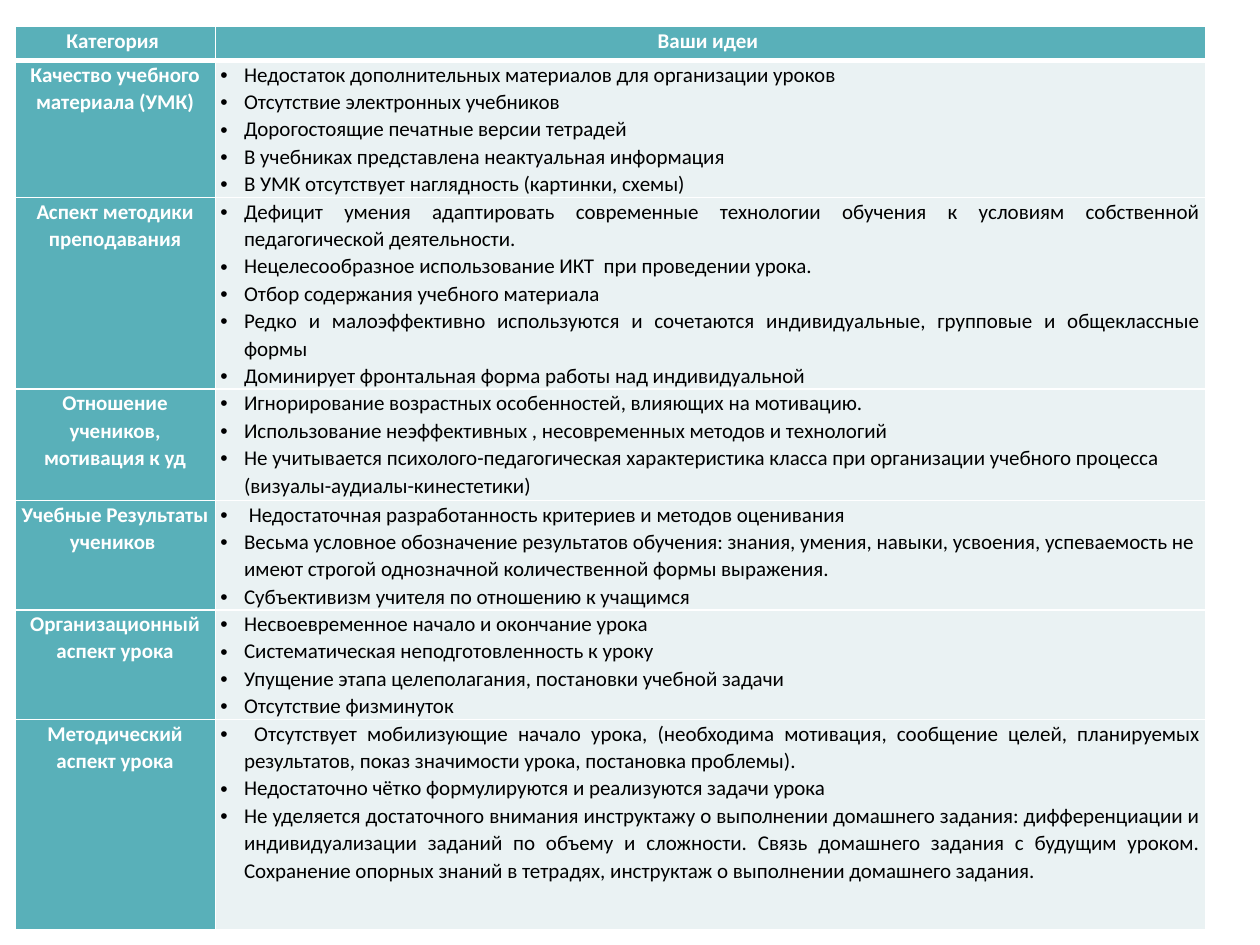
from dataclasses import dataclass

from lxml.etree import SubElement
from pptx import Presentation
from pptx.dml.color import RGBColor
from pptx.enum.text import PP_ALIGN as Align
from pptx.oxml.ns import qn
from pptx.util import Cm, Pt

COLORS = {"accent": "59B0B9", "light": "EAF2F3", "white": "FFFFFF", "black": "000000"}
FONT = "Calibri"
INDENT = Cm(0.48)
COLUMN_WIDTHS = (4.04, 19.96)


@dataclass(frozen=True)
class Category:
    title: str
    height: float
    ideas: tuple[str, ...]
    align: Align = Align.LEFT


HEADINGS = ("Категория ", "Ваши идеи ")
HEADING_HEIGHT = 0.69
CATEGORIES = (
    Category("Качество учебного материала (УМК)", 2.67, (
        "Недостаток дополнительных материалов для организации уроков",
        "Отсутствие электронных учебников",
        "Дорогостоящие печатные версии тетрадей",
        "В учебниках представлена неактуальная информация",
        "В УМК отсутствует наглядность (картинки, схемы)",
    )),
    Category("Аспект методики преподавания", 3.18, (
        "Дефицит умения адаптировать современные технологии обучения к условиям "
        "собственной педагогической деятельности.",
        "Нецелесообразное использование ИКТ  при проведении урока.",
        "Отбор содержания учебного материала",
        "Редко и малоэффективно используются и сочетаются индивидуальные, "
        "групповые и общеклассные формы",
        "Доминирует фронтальная форма работы над индивидуальной",
    ), Align.JUSTIFY),
    Category("Отношение учеников, мотивация к уд", 2.24, (
        "Игнорирование возрастных особенностей, влияющих на мотивацию.",
        "Использование неэффективных , несовременных методов и технологий",
        "Не учитывается психолого-педагогическая характеристика класса при "
        "организации учебного процесса (визуалы-аудиалы-кинестетики)",
    )),
    Category("Учебные Результаты учеников ", 2.13, (
        " Недостаточная разработанность критериев и методов оценивания",
        "Весьма условное обозначение результатов обучения: знания, умения, навыки, "
        "усвоения, успеваемость не имеют строгой однозначной количественной формы "
        "выражения.",
        "Субъективизм учителя по отношению к учащимся",
    )),
    Category("Организационный аспект урока", 2.13, (
        "Несвоевременное начало и окончание урока",
        "Систематическая неподготовленность к уроку",
        "Упущение этапа целеполагания, постановки учебной задачи",
        "Отсутствие физминуток",
    )),
    Category("Методический аспект урока", 4.24, (
        " Отсутствует мобилизующие начало урока, (необходима мотивация, сообщение "
        "целей, планируемых результатов, показ значимости урока, постановка проблемы).",
        "Недостаточно чётко формулируются и реализуются задачи урока",
        "Не уделяется достаточного внимания инструктажу о выполнении домашнего "
        "задания: дифференциации и индивидуализации заданий по объему и сложности. "
        "Связь домашнего задания с будущим уроком. Сохранение опорных знаний в "
        "тетрадях, инструктаж о выполнении домашнего задания.",
    ), Align.JUSTIFY),
)


def add_borders(cell, top: float, bottom: float) -> None:
    properties = cell._tc.get_or_add_tcPr()
    for side, width in (("L", 1), ("R", 1), ("T", top), ("B", bottom)):
        line = SubElement(properties, qn(f"a:ln{side}"), w=str(Pt(width)))
        line_fill = SubElement(line, qn("a:solidFill"))
        SubElement(line_fill, qn("a:srgbClr"), val=COLORS["white"])


def add_bullet(paragraph) -> None:
    properties = paragraph._p.get_or_add_pPr()
    properties.set("marL", str(INDENT))
    properties.set("indent", str(-INDENT))
    SubElement(properties, qn("a:buFont"), typeface="Arial")
    SubElement(properties, qn("a:buChar"), char="•")


def fill_cell(cell, lines: tuple[str, ...], align: Align, label: bool,
              top: float = 1, bottom: float = 1) -> None:
    add_borders(cell, top, bottom)
    cell.fill.solid()
    cell.fill.fore_color.rgb = RGBColor.from_string(COLORS["accent" if label else "light"])
    cell.margin_left = cell.margin_right = Cm(0.1)
    cell.margin_top = cell.margin_bottom = 0
    cell.text_frame.text = "\n".join(lines)
    for paragraph in cell.text_frame.paragraphs:
        if not label:
            add_bullet(paragraph)
        paragraph.alignment = align
        paragraph.line_spacing = 1.07
        font = paragraph.font
        font.name, font.size, font.bold = FONT, Pt(12), label
        font.color.rgb = RGBColor.from_string(COLORS["white" if label else "black"])


def main() -> None:
    deck = Presentation()
    deck.slide_width, deck.slide_height = Cm(25.4), Cm(19.05)
    slide = deck.slides.add_slide(deck.slide_layouts[6])

    # Table grid
    heights = (HEADING_HEIGHT, *(category.height for category in CATEGORIES))
    ideas_table = slide.shapes.add_table(
        len(heights), len(COLUMN_WIDTHS), Cm(0.3), Cm(0.53),
        Cm(sum(COLUMN_WIDTHS)), Cm(sum(heights))).table
    ideas_table.first_col = True
    for column, width in zip(ideas_table.columns, COLUMN_WIDTHS):
        column.width = Cm(width)
    for row, height in zip(ideas_table.rows, heights):
        row.height = Cm(height)

    # Heading row
    for index, heading in enumerate(HEADINGS):
        fill_cell(ideas_table.cell(0, index), (heading,), Align.CENTER, True, bottom=3)

    # One row per category
    for index, category in enumerate(CATEGORIES, start=1):
        top = 3 if index == 1 else 1
        fill_cell(ideas_table.cell(index, 0), (category.title,), Align.CENTER, True, top)
        fill_cell(ideas_table.cell(index, 1), category.ideas, category.align, False, top)

    deck.save("out.pptx")


if __name__ == "__main__":
    main()
